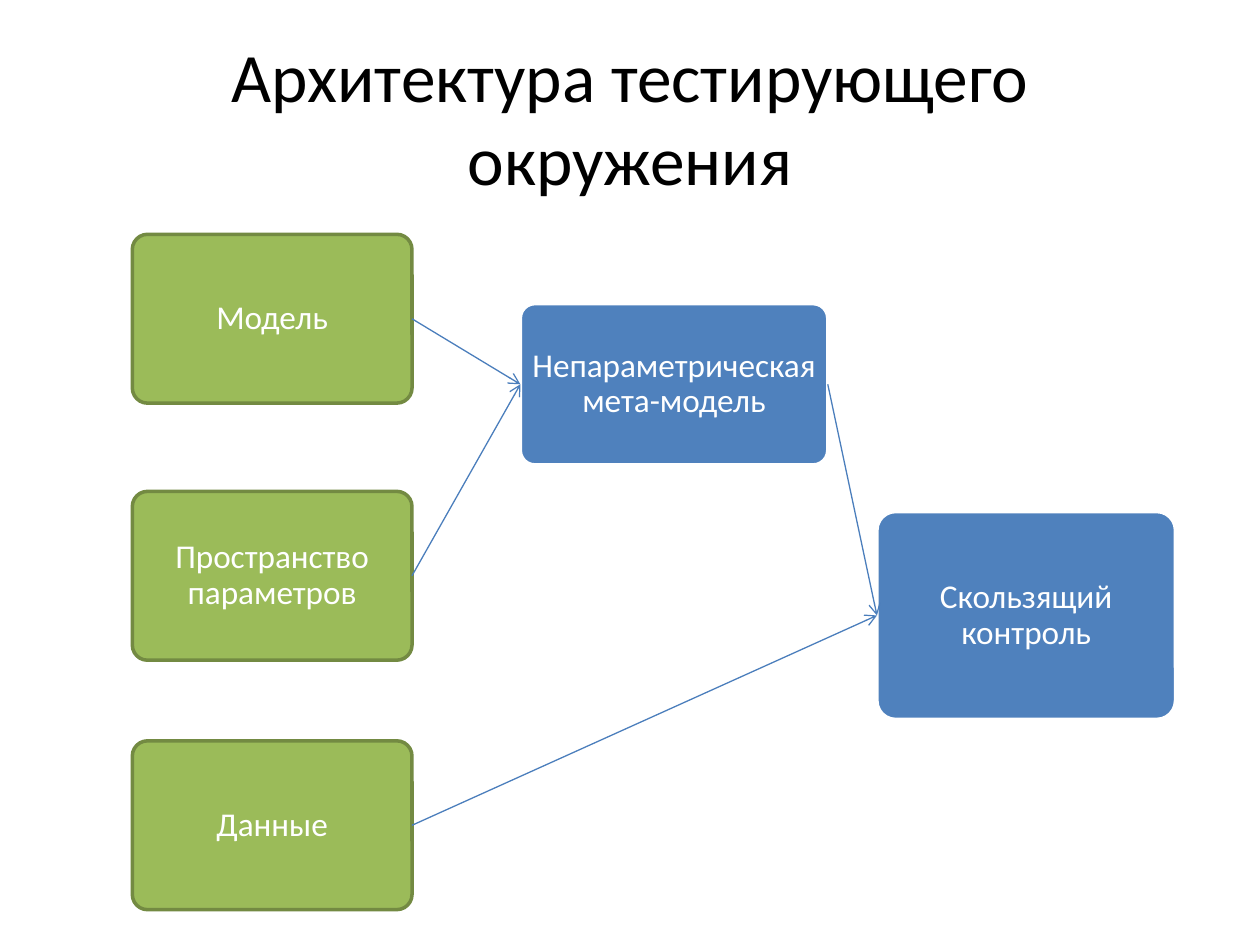
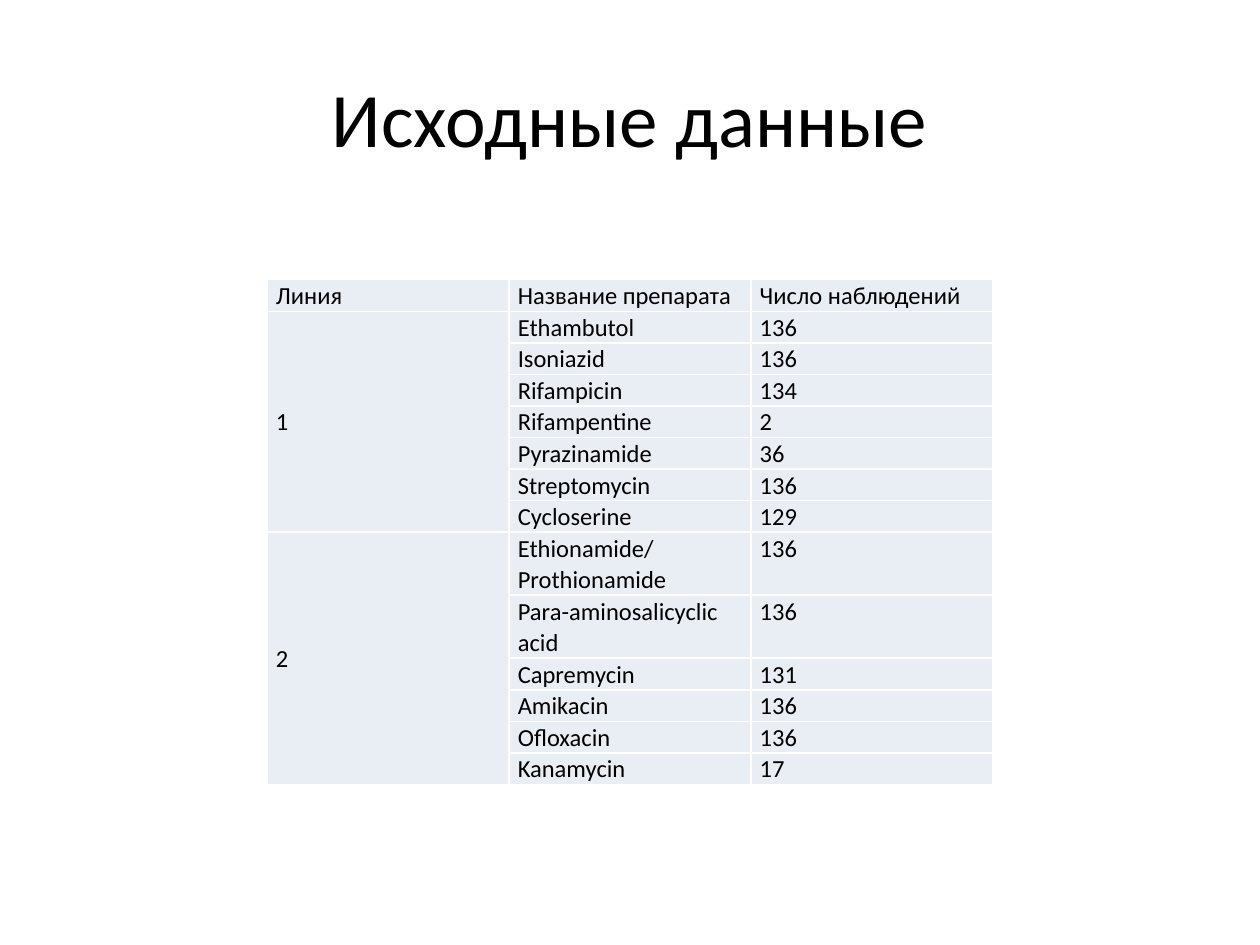
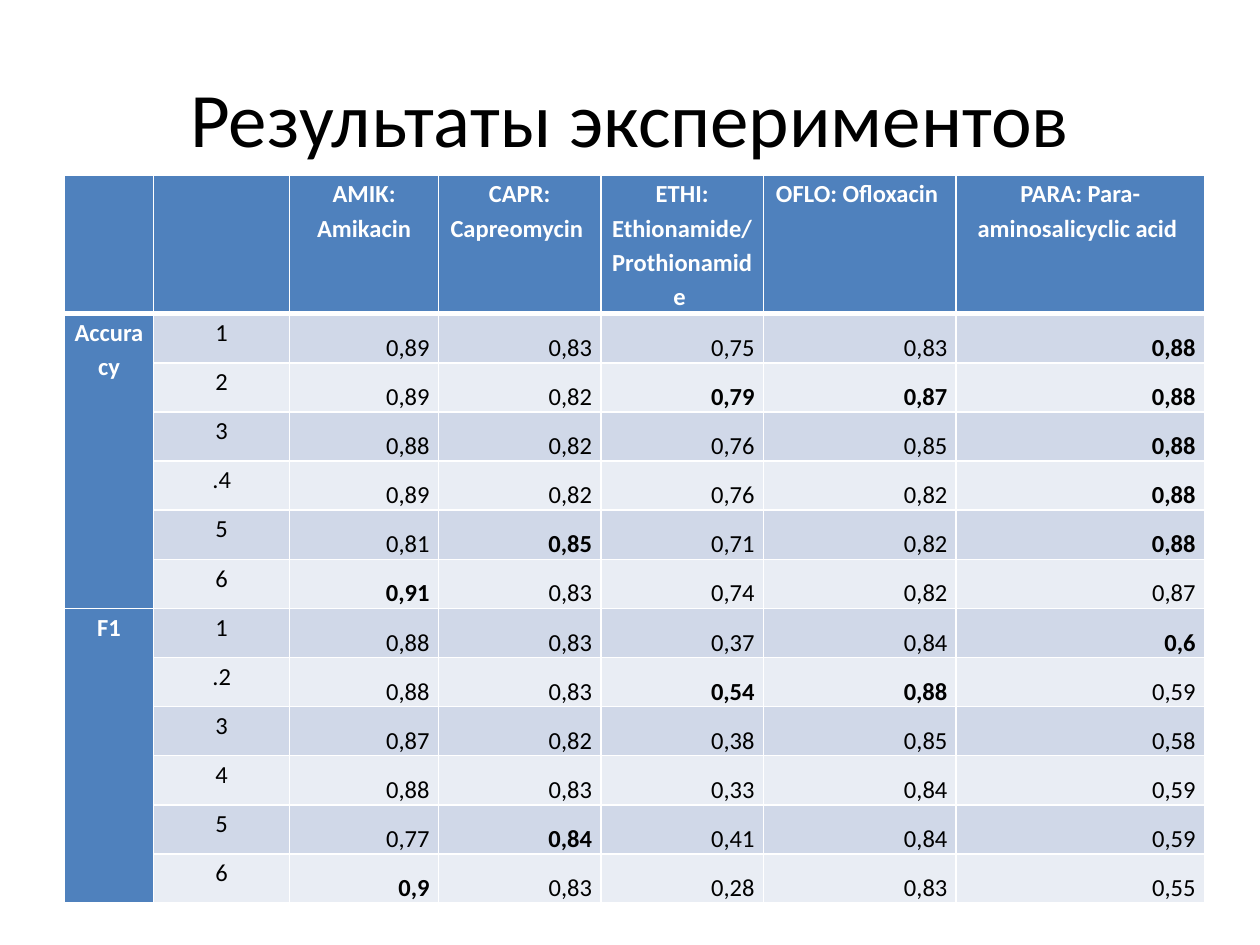
from lxml.etree import SubElement as Sub
from pptx import Presentation
from pptx.dml.color import RGBColor as Rgb
from pptx.enum.shapes import MSO_CONNECTOR as Conn, MSO_SHAPE as Shape
from pptx.enum.text import MSO_ANCHOR as Anchor, MSO_AUTO_SIZE as Auto, PP_ALIGN as Align
from pptx.oxml.ns import qn
from pptx.util import Inches, Pt

COLORS = {
    "black": "000000", "white": "FFFFFF", "blue": "4F81BD", "green": "9BBB59",
    "olive": "738A42", "wire": "4B7EBC", "dark": "D0D8E8", "pale": "E9EDF4",
}
FONT = "Calibri"
LEFT, RIGHT = 1, 3


def color(name):
    return Rgb.from_string(COLORS[name])


class Deck:
    """Shared style and the current slide."""

    def __init__(self):
        self.prs = Presentation()
        self.prs.slide_width = Inches(10)
        self.prs.slide_height = Inches(7.5)
        self.slide = None

    def page(self, title, size=44):
        self.slide = self.prs.slides.add_slide(self.prs.slide_layouts[5])
        head = self.slide.shapes.title
        head.left, head.top = Inches(0.5), Inches(0.3)
        head.width, head.height = Inches(9), Inches(1.25)
        head.text_frame.auto_size = Auto.NONE
        head.text_frame.vertical_anchor = Anchor.MIDDLE
        self.put(head.text_frame, title, size, "black")

    def put(self, frame, text, size, ink, align=Align.CENTER, bold=False, gap=None):
        para = frame.paragraphs[0]
        para.alignment = align
        para.line_spacing = gap
        run = para.add_run()
        run.text = text
        run.font.name, run.font.size, run.font.bold = FONT, Pt(size), bold
        run.font.color.rgb = color(ink)

    def box(self, text, left, top, width, height, fill, edge):
        box = self.slide.shapes.add_shape(
            Shape.ROUNDED_RECTANGLE, Inches(left), Inches(top), Inches(width), Inches(height))
        box.adjustments[0] = 0.09
        box.shadow.inherit = False
        box.fill.solid()
        box.fill.fore_color.rgb = color(fill)
        box.line.color.rgb = color(edge)
        box.line.width = Pt(2)
        frame = box.text_frame
        frame.word_wrap = True
        frame.vertical_anchor = Anchor.MIDDLE
        frame.margin_left = frame.margin_right = Inches(0.05)
        frame.margin_top = frame.margin_bottom = Inches(0.05)
        self.put(frame, text, 19, "white", gap=0.9)
        return box

    def arrow(self, start, end):
        wire = self.slide.shapes.add_connector(Conn.STRAIGHT, 0, 0, 0, 0)
        wire.begin_connect(start, RIGHT)
        wire.end_connect(end, LEFT)
        wire.line.color.rgb = color("wire")
        wire.line.width = Pt(0.75)
        props = wire.element.spPr
        Sub(props.find(qn("a:ln")), qn("a:tailEnd"), type="arrow")
        Sub(props, qn("a:effectLst"))

    def table(self, left, top, cols, rows, spans):
        """Add a table; spans lists (first row, row count) in column 0."""
        width, height = Inches(sum(cols)), Inches(sum(rows))
        table = self.slide.shapes.add_table(
            len(rows), len(cols), Inches(left), Inches(top), width, height).table
        table.first_row = table.horz_banding = False
        for col, size in zip(table.columns, cols):
            col.width = Inches(size)
        for row, size in zip(table.rows, rows):
            row.height = Inches(size)
        for first, count in spans:
            table.cell(first, 0).merge(table.cell(first + count - 1, 0))
        return table

    def cell(self, cell, text, fill, ink="black", anchor=Anchor.TOP, thick="", **style):
        """Fill one cell; thick names the sides with a 3 pt border."""
        cell.margin_left = cell.margin_right = Inches(0.07)
        cell.margin_top = cell.margin_bottom = 0
        cell.vertical_anchor = anchor
        props = cell._tc.get_or_add_tcPr()
        for side in "LRTB":
            line = Sub(props, qn("a:ln" + side), w=str(Pt(3 if side in thick else 1)))
            Sub(Sub(line, qn("a:solidFill")), qn("a:srgbClr"), val=COLORS["white"])
        cell.fill.solid()
        cell.fill.fore_color.rgb = color(fill)
        self.put(cell.text_frame, text, 14, ink, **style)


def scheme(deck):
    deck.page("Архитектура тестирующего окружения", 39.6)
    check = deck.box("Скользящий контроль", 6.96, 4.06, 2.37, 1.65, "blue", "white")
    meta = deck.box("Непараметрическая мета-модель", 4.13, 2.41, 2.44, 1.28, "blue", "white")
    inputs = [("Модель", 1.86), ("Пространство параметров", 3.9), ("Данные", 5.88)]
    model, space, data = [
        deck.box(text, 1.05, top, 2.22, 1.34, "green", "olive") for text, top in inputs]
    for start, end in [(model, meta), (space, meta), (meta, check), (data, check)]:
        deck.arrow(start, end)


def sources(deck):
    deck.page("Исходные данные")
    lines = [
        ("Линия", "Название препарата", "Число наблюдений"),
        ("1", "Ethambutol", "136"),
        ("", "Isoniazid", "136"),
        ("", "Rifampicin", "134"),
        ("", "Rifampentine", "2"),
        ("", "Pyrazinamide", "36"),
        ("", "Streptomycin", "136"),
        ("", "Cycloserine", "129"),
        ("2", "Ethionamide/Prothionamide", "136"),
        ("", "Para-aminosalicyclic acid", "136"),
        ("", "Capremycin", "131"),
        ("", "Amikacin", "136"),
        ("", "Ofloxacin", "136"),
        ("", "Kanamycin", "17"),
    ]
    # Long names take two lines
    rows = [0.5 if len(name) > 20 else 0.25 for _, name, _ in lines]
    table = deck.table(2.12, 2.22, [1.92] * 3, rows, [(1, 7), (8, 6)])
    for r, line in enumerate(lines):
        for c, text in enumerate(line):
            anchor = Anchor.MIDDLE if r and not c else Anchor.TOP
            deck.cell(table.cell(r, c), text, "pale", anchor=anchor,
                      align=Align.JUSTIFY, gap=Pt(18))


def results(deck):
    deck.page("Результаты экспериментов")
    heads = ["", "", "AMIK: Amikacin", "CAPR: Capreomycin ",
             "ETHI: Ethionamide/ Prothionamide ", "OFLO: Ofloxacin ",
             "PARA: Para-aminosalicyclic acid "]
    # A star marks a bold value
    scores = [
        "1 0,89 0,83 0,75 0,83 0,88*",
        "2 0,89 0,82 0,79* 0,87* 0,88*",
        "3 0,88 0,82 0,76 0,85 0,88*",
        ".4 0,89 0,82 0,76 0,82 0,88*",
        "5 0,81 0,85* 0,71 0,82 0,88*",
        "6 0,91* 0,83 0,74 0,82 0,87",
        "1 0,88 0,83 0,37 0,84 0,6*",
        ".2 0,88 0,83 0,54* 0,88* 0,59",
        "3 0,87 0,82 0,38 0,85 0,58",
        "4 0,88 0,83 0,33 0,84 0,59",
        "5 0,77 0,84* 0,41 0,84 0,59",
        "6 0,9* 0,83 0,28 0,83 0,55",
    ]
    groups = {1: "Accuracy", 7: "F1"}
    cols = [0.71, 1.08, 1.18, 1.29, 1.29, 1.53, 1.97]
    table = deck.table(0.51, 1.39, cols, [1.1] + [0.39] * 12, [(r, 6) for r in groups])

    # Header row
    for c, text in enumerate(heads):
        deck.cell(table.cell(0, c), text, "blue", "white", thick="B", bold=True, gap=1.15)

    # Group names and scores
    for r, line in enumerate(scores, 1):
        thick = "T" if r == 1 else ""
        deck.cell(table.cell(r, 0), groups.get(r, ""), "blue", "white",
                  thick=thick, bold=True, gap=1.15)
        for c, text in enumerate(line.split(), 1):
            deck.cell(table.cell(r, c), text.rstrip("*"), "dark" if r % 2 else "pale",
                      anchor=Anchor.BOTTOM if c > 1 else Anchor.TOP, thick=thick,
                      align=Align.RIGHT if c > 1 else Align.CENTER,
                      bold=text.endswith("*"), gap=1.15)


def main():
    deck = Deck()
    scheme(deck)
    sources(deck)
    results(deck)
    deck.prs.save("out.pptx")


if __name__ == "__main__":
    main()
